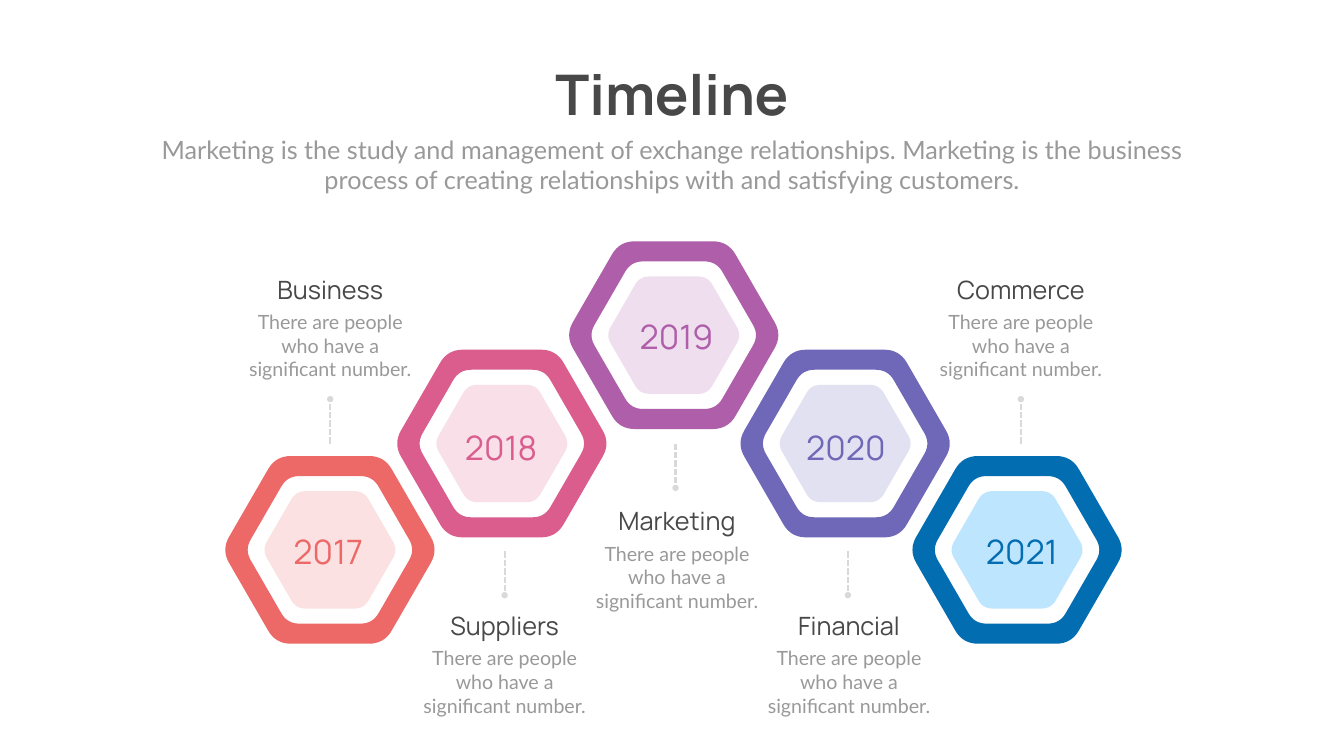
from math import cos, sin, pi
from lxml.etree import SubElement
from pptx import Presentation
from pptx.dml.color import RGBColor as Rgb
from pptx.enum.dml import MSO_LINE as Dash
from pptx.enum.shapes import MSO_CONNECTOR as Link
from pptx.enum.text import MSO_ANCHOR as Anchor, MSO_AUTO_SIZE as Fit, PP_ALIGN as Align
from pptx.oxml.ns import qn
from pptx.util import Pt

PX = 9144
HEAD, BODY = "Manrope", "Lato"
COLORS = {
    "ink": "484848", "gray": "999999", "pin": "D9D9D9",
    "red": "EC6968", "red_pale": "FBE1E1",
    "pink": "DA5D8D", "pink_pale": "F8DFE8",
    "plum": "AF5FAA", "plum_pale": "EFDFEE",
    "violet": "6F68B9", "violet_pale": "E2E1F1",
    "blue": "036DB2", "blue_pale": "BEE5FE",
}
INTRO = ("Marketing is the study and management of exchange relationships. "
         "Marketing is the business process of creating relationships with "
         "and satisfying customers.")
NOTE = "There are people who have a significant number."
HEX_W, HEX_H = 413, 372
YEAR_W, YEAR_H = 214, 91
NOTE_W = 364

HEXES = [
    ("2017", "red", (448, 905), (544, 1048)),
    ("2018", "pink", (789, 694), (887, 842)),
    ("2019", "plum", (1130, 479), (1235, 622)),
    ("2020", "violet", (1470, 694), (1571, 842)),
    ("2021", "blue", (1811, 905), (1920, 1048)),
]
NOTES = [
    ("Business", 473, 539),
    ("Suppliers", 819, 1206),
    ("Marketing", 1161, 998),
    ("Financial", 1502, 1206),
    ("Commerce", 1843, 539),
]
PINS = [(655, 880, -88), (1001, 1094, 87), (1340, 880, 88),
        (1682, 1094, 87), (2025, 880, -88)]


def color(name):
    return Rgb.from_string(COLORS[name])


def emu(*vals):
    return [round(v * PX) for v in vals]


def write(slide, box, text, size, font, tone, bold=False, wrap=True):
    frame = slide.shapes.add_textbox(*emu(*box)).text_frame
    frame.word_wrap = wrap
    frame.auto_size = Fit.SHAPE_TO_FIT_TEXT
    frame.vertical_anchor = Anchor.MIDDLE
    para = frame.paragraphs[0]
    para.text = text
    para.alignment = Align.CENTER
    para.font.size = Pt(size)
    para.font.name = font
    para.font.bold = bold
    para.font.color.rgb = color(tone)


def outline(mid, radius, steps=8):
    x, y = mid
    tips = [(x + radius * cos(i * pi / 3), y + radius * sin(i * pi / 3))
            for i in range(6)]
    cut = 0.14
    dots = []
    for i, tip in enumerate(tips):
        near, far = tips[i - 1], tips[(i + 1) % 6]
        start = [t + (n - t) * cut for t, n in zip(tip, near)]
        end = [t + (f - t) * cut for t, f in zip(tip, far)]
        for k in range(steps + 1):
            t = k / steps
            dots.append(emu(*((1 - t) ** 2 * a + 2 * t * (1 - t) * b + t * t * c
                              for a, b, c in zip(start, tip, end))))
    return dots


def draw(slide, loops, tone):
    first, *rest = loops
    pen = slide.shapes.build_freeform(*first[0], scale=1.0)
    pen.add_line_segments(first[1:], close=True)
    for loop in rest:
        pen.move_to(*loop[0])
        pen.add_line_segments(loop[1:], close=True)
    shape = pen.convert_to_shape()
    shape.shadow.inherit = False
    shape.fill.solid()
    shape.fill.fore_color.rgb = color(tone)
    shape.line.fill.background()


def hexagon(slide, box, tone):
    x, y, w, h = box
    mid = (x + w / 2, y + h / 2)
    draw(slide, [outline(mid, 215), outline(mid, 169)[::-1]], tone)
    draw(slide, [outline(mid, 134.5)], tone + "_pale")


def pin(slide, x, y, rise):
    link = slide.shapes.add_connector(Link.STRAIGHT, *emu(x, y, x, y + rise))
    link.line.color.rgb = color("pin")
    link.line.width = Pt(3)
    link.line.dash_style = Dash.SQUARE_DOT
    SubElement(link.line._get_or_add_ln(), qn("a:tailEnd"), type="oval")
    SubElement(link._element.spPr, qn("a:effectLst"))


def caption(slide, box, title):
    x, y, w = box
    write(slide, (x, y, w, 71), title, 36, HEAD, "ink")
    write(slide, (x, y + 71, w, 151), NOTE, 28, BODY, "gray")


def header(slide, box):
    x, y, w = box
    write(slide, (x + (w - 518) / 2, y, 518, 145), "Timeline", 80, HEAD, "ink",
          bold=True, wrap=False)
    write(slide, (x, y + 149, w, 131), INTRO, 36, BODY, "gray")


def main():
    deck = Presentation()
    deck.slide_width, deck.slide_height = emu(2666, 1500)
    slide = deck.slides.add_slide(deck.slide_layouts[6])
    header(slide, (292, 112, 2082))
    for _, tone, spot, _ in HEXES:
        hexagon(slide, (*spot, HEX_W, HEX_H), tone)
    for spot in PINS:
        pin(slide, *spot)
    for title, x, y in NOTES:
        caption(slide, (x, y, NOTE_W), title)
    for year, tone, _, spot in HEXES:
        write(slide, (*spot, YEAR_W, YEAR_H), year, 48, HEAD, tone)
    deck.save("out.pptx")


if __name__ == "__main__":
    main()
